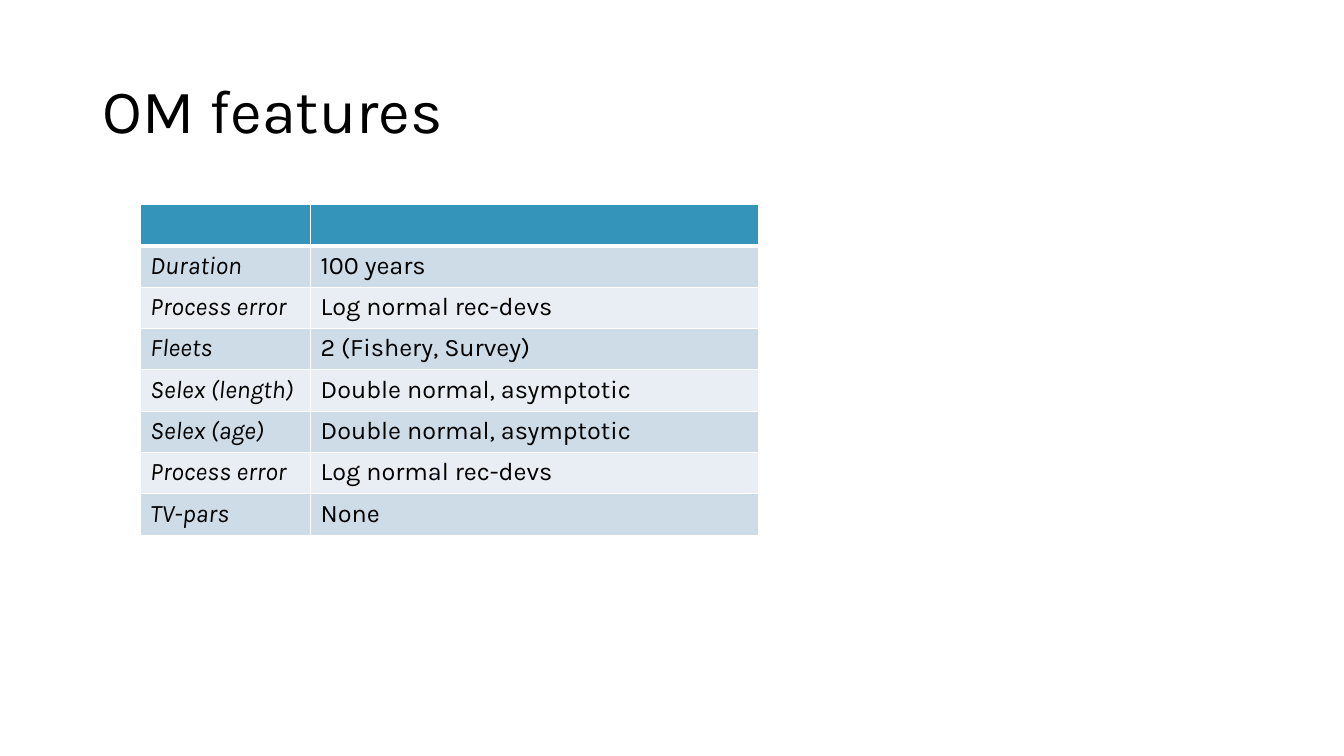
import pptx
import pptx.util
import pptx.dml.color
import pptx.enum.text
import pptx.oxml
import pptx.oxml.ns

TITLE = "OM features"
ROWS = [
    ("", ""),
    ("Duration", "100 years"),
    ("Process error", "Log normal rec-devs"),
    ("Fleets", "2 (Fishery, Survey)"),
    ("Selex (length)", "Double normal, asymptotic"),
    ("Selex (age)", "Double normal, asymptotic"),
    ("Process error", "Log normal rec-devs"),
    ("TV-pars", "None"),
]
COL_WIDTHS = (1.69, 4.44)
ROW_HEIGHT = 0.41
HEADER, BANDS = "3494BA", ("E8EEF3", "CEDCE7")
TITLE_FONT = {"name": "Karla", "size": pptx.util.Pt(44), "bold": False}
CELL_FONT = {"name": "Karla", "size": pptx.util.Pt(18), "bold": False}

Inches = pptx.util.Inches


def rgb(value):
    return pptx.dml.color.RGBColor.from_string(value)


def set_font(font, formats):
    for key, value in formats.items():
        setattr(font, key, value)
    font.color.rgb = rgb("000000")


def set_border(cell, side, width):
    cell._tc.get_or_add_tcPr().append(pptx.oxml.parse_xml(
        f'<a:{side} {pptx.oxml.ns.nsdecls("a")} w="{pptx.util.Pt(width)}">'
        f'<a:solidFill><a:srgbClr val="FFFFFF"/></a:solidFill></a:{side}>'))


def add_title(s):
    title = s.shapes.title
    title.left, title.top, title.width, title.height = map(Inches, (0.92, 0.4, 11.5, 1.45))
    tf = title.text_frame
    tf.text = TITLE
    tf.word_wrap = True
    tf.vertical_anchor = pptx.enum.text.MSO_ANCHOR.MIDDLE
    p = tf.paragraphs[0]
    p.alignment = pptx.enum.text.PP_ALIGN.LEFT
    p.line_spacing = 0.9
    set_font(p.runs[0].font, TITLE_FONT)


def add_features(s):
    table = s.shapes.add_table(
        len(ROWS), len(COL_WIDTHS), Inches(1.39), Inches(2.03),
        Inches(sum(COL_WIDTHS)), Inches(ROW_HEIGHT * len(ROWS))).table
    for column, width in zip(table.columns, COL_WIDTHS):
        column.width = Inches(width)
    for i, texts in enumerate(ROWS):
        table.rows[i].height = Inches(ROW_HEIGHT)
        for j, text in enumerate(texts):
            cell = table.cell(i, j)
            for side in ("lnL", "lnR", "lnT", "lnB"):
                thick = (i, side) in ((0, "lnB"), (1, "lnT"))
                set_border(cell, side, 3 if thick else 1)
            cell.fill.solid()
            cell.fill.fore_color.rgb = rgb(BANDS[i % 2] if i else HEADER)
            p = cell.text_frame.paragraphs[0]
            if text:
                r = p.add_run()
                r.text = text
                set_font(r.font, {**CELL_FONT, "italic": j == 0})


def main():
    prs = pptx.Presentation()
    prs.slide_width, prs.slide_height = Inches(13.33), Inches(7.5)
    s = prs.slides.add_slide(prs.slide_layouts[5])
    add_title(s)
    add_features(s)
    prs.save("out.pptx")


if __name__ == "__main__":
    main()
